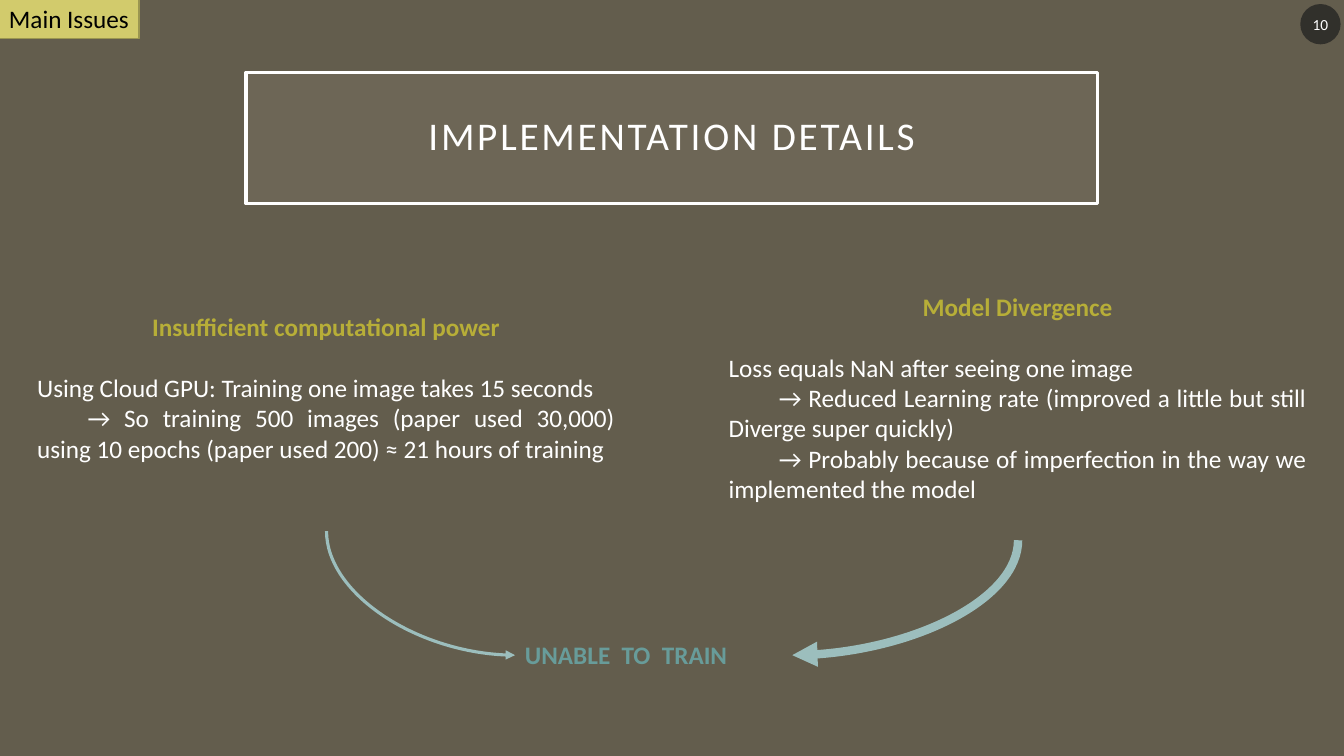
"""Build the implementation details slide on the main issues met in training."""
import pptx
import pptx.dml.color
import pptx.enum.shapes
import pptx.enum.text
import pptx.oxml
import pptx.oxml.ns
import pptx.util

Pt = pptx.util.Pt
qn = pptx.oxml.ns.qn
SHAPES = pptx.enum.shapes.MSO_SHAPE
ALIGN = pptx.enum.text.PP_ALIGN
ANCHOR = pptx.enum.text.MSO_ANCHOR
COLORS = {
    "background": "635D4D",
    "title_fill": "A7A08E",
    "white": "FFFFFF",
    "black": "000000",
    "badge": "1D1D1D",
    "tag": "D2CB6C",
    "tag_edge": "9B9650",
    "heading": "B7AE38",
    "outcome": "689C9A",
    "arrow": "9CBEBD",
}
ISSUES = [
    ((19.44, 218.88, 426.96, 159.84), "Insufficient computational power", [
        "Using Cloud GPU: Training one image takes 15 seconds",
        "\t→ So training 500 images (paper used 30,000) using 10 epochs (paper used 200) ≈ 21 hours of training",
    ]),
    ((513.36, 204.48, 426.96, 181.44), "Model Divergence", [
        "Loss equals NaN after seeing one image",
        "\t→ Reduced Learning rate (improved a little but still Diverge super quickly)",
        "\t→ Probably because of imperfection in the way we implemented the model",
    ]),
]


def rgb(name):
    return pptx.dml.color.RGBColor.from_string(COLORS[name])


def apply(target, values):
    for attribute, value in values.items():
        setattr(target, attribute, value)


def child(parent, tag, **attributes):
    element = pptx.oxml.parse_xml(f"<{tag} {pptx.oxml.ns.nsdecls('a')}/>")
    for key, value in attributes.items():
        element.set(key, value)
    parent.append(element)
    return element


def place(shape, box):
    apply(shape, dict(zip(("left", "top", "width", "height"), map(Pt, box))))


def paint(shape, fill, opacity=100, edge=None, weight=0):
    shape.fill.solid()
    shape.fill.fore_color.rgb = rgb(fill)
    if opacity < 100:
        color = shape._element.spPr.find(qn("a:solidFill"))[0]
        child(color, "a:alpha", val=str(opacity * 1000))
    if edge:
        shape.line.color.rgb = rgb(edge)
        shape.line.width = Pt(weight)
    else:
        shape.line.fill.background()


def write(paragraph, text, color, size=18, bold=False, **layout):
    run = paragraph.add_run()
    run.text = text
    apply(run.font, {"name": "Calibri", "size": Pt(size), "bold": bold})
    run.font.color.rgb = rgb(color)
    apply(paragraph, layout)
    return run


def add_panel(slide, kind, box, text, color, size, align, margins, **look):
    panel = slide.shapes.add_shape(kind, *map(Pt, box))
    panel.shadow.inherit = False
    paint(panel, **look)
    frame = panel.text_frame
    apply(frame, {"word_wrap": True, "vertical_anchor": ANCHOR.MIDDLE,
                  "margin_left": Pt(margins), "margin_right": Pt(margins)})
    write(frame.paragraphs[0], text, color, size, alignment=align)


def add_text(slide, box):
    frame = slide.shapes.add_textbox(*map(Pt, box)).text_frame
    frame.word_wrap = True
    return frame


def add_issue(slide, box, heading, points):
    frame = add_text(slide, box)
    write(frame.paragraphs[0], heading, "heading", bold=True,
          alignment=ALIGN.CENTER, space_after=Pt(22))
    for point in points:
        write(frame.add_paragraph(), point, "white", alignment=ALIGN.JUSTIFY)


def add_curved_arrow(slide, start, end, weight):
    (x1, y1), (x2, y2) = start, end
    side = 1 if x2 > x1 else -1
    mid_x, mid_y = (x1 + x2) / 2, (y1 + y2) / 2
    reach, drop = abs(x2 - x1) / 2, side * (y2 - y1) / 2
    corners = (mid_x + drop, mid_y - reach, mid_x - drop, mid_y + reach)
    arrow = slide.shapes.add_connector(
        pptx.enum.shapes.MSO_CONNECTOR.CURVE, *map(Pt, corners))
    arrow.line.color.rgb = rgb("arrow")
    arrow.line.width = Pt(weight)
    properties = arrow._element.spPr
    properties.find(qn("a:xfrm")).set("rot", str((270 if side > 0 else 90) * 60000))
    properties.find(qn("a:prstGeom")).set("prst", "curvedConnector2")
    child(properties.find(qn("a:ln")), "a:tailEnd", type="triangle")
    child(properties, "a:effectLst")


def add_title(slide, text):
    title = slide.shapes.title
    place(title, (175.68, 51.84, 608.4, 93.6))
    paint(title, "title_fill", 15, "white", 2.5)
    frame = title.text_frame
    apply(frame, {f"margin_{edge}": Pt(14.4) for edge in ("left", "top", "right", "bottom")})
    apply(frame, {"word_wrap": True, "vertical_anchor": ANCHOR.MIDDLE,
                  "auto_size": pptx.enum.text.MSO_AUTO_SIZE.NONE})
    run = write(frame.paragraphs[0], text, "white", 28,
                alignment=ALIGN.CENTER, line_spacing=0.9)
    run.font._element.set("spc", "200")


def main():
    deck = pptx.Presentation()
    apply(deck, {"slide_width": Pt(960), "slide_height": Pt(540)})
    slide = deck.slides.add_slide(deck.slide_layouts[5])
    slide.background.fill.solid()
    slide.background.fill.fore_color.rgb = rgb("background")

    add_title(slide, "IMPLEMENTATION DETAILS")
    add_panel(slide, SHAPES.OVAL, (928.8, 2.88, 28.8, 28.8), "10", "white", 11,
              ALIGN.CENTER, 1.44, fill="badge", opacity=70)
    add_panel(slide, SHAPES.RECTANGLE, (-0.72, -1.44, 100.08, 29.08), "Main Issues",
              "black", 18, ALIGN.LEFT, 7.2, fill="tag", edge="tag_edge", weight=1)
    outcome = add_text(slide, (367.92, 452.88, 198, 29.08))
    write(outcome.paragraphs[0], "UNABLE  TO  TRAIN", "outcome", bold=True)
    for issue in ISSUES:
        add_issue(slide, *issue)
    add_curved_arrow(slide, (233.28, 379.44), (367.92, 468), 2.25)
    add_curved_arrow(slide, (727.2, 385.92), (565.92, 468), 6)
    deck.save("out.pptx")


if __name__ == "__main__":
    main()
